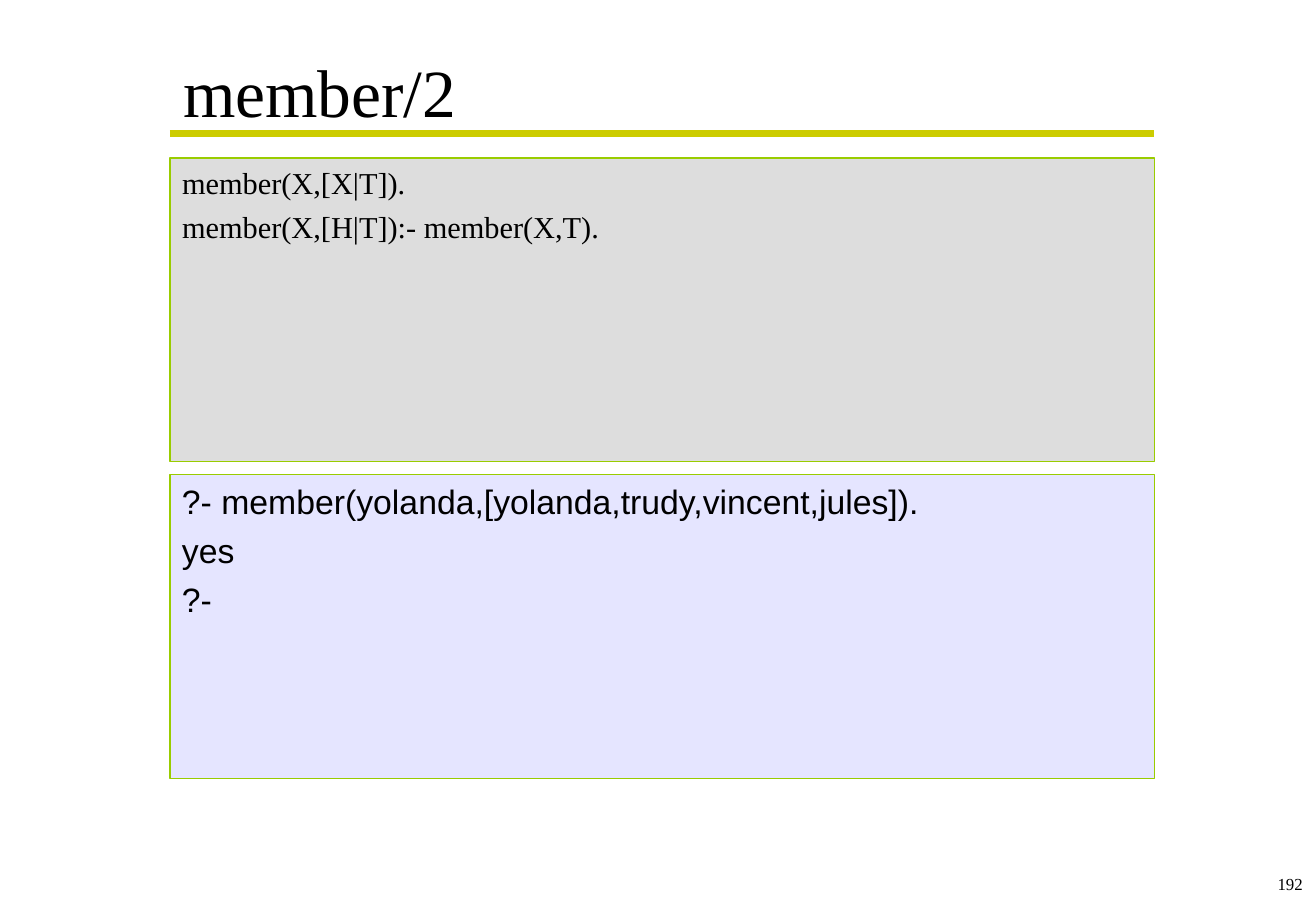
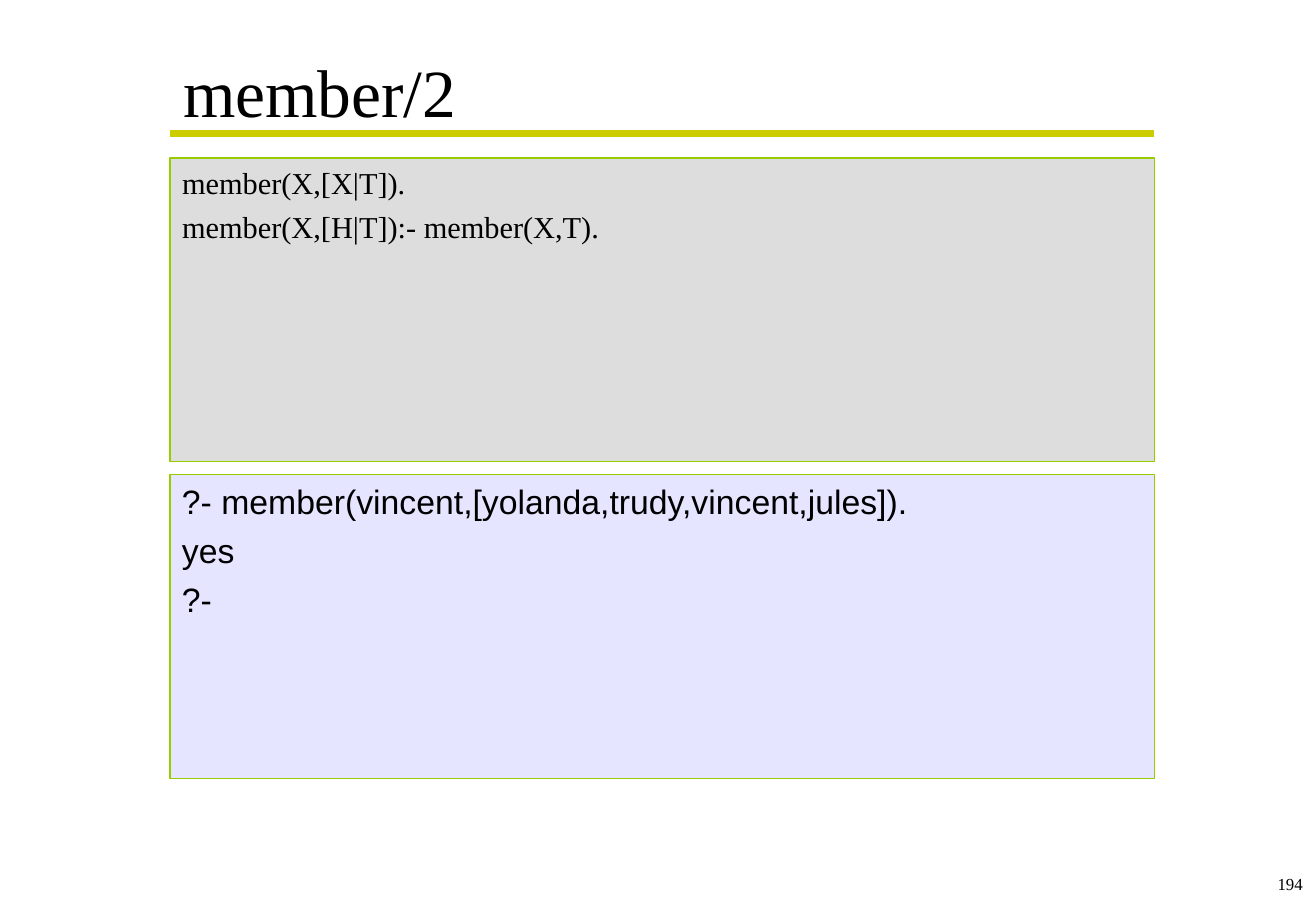
from dataclasses import dataclass

from lxml import etree
from pptx import Presentation
from pptx.dml.color import RGBColor
from pptx.enum.shapes import MSO_CONNECTOR, MSO_SHAPE
from pptx.enum.text import MSO_ANCHOR, MSO_AUTO_SIZE, PP_ALIGN
from pptx.oxml.ns import qn
from pptx.util import Inches, Pt

STRAIGHT = MSO_CONNECTOR.STRAIGHT
RECTANGLE = MSO_SHAPE.RECTANGLE
TOP, MIDDLE = MSO_ANCHOR.TOP, MSO_ANCHOR.MIDDLE
LEFT, RIGHT = PP_ALIGN.LEFT, PP_ALIGN.RIGHT
NO_AUTOFIT = MSO_AUTO_SIZE.NONE

SERIF, SANS = "Times New Roman", "Arial"
BLACK, RULE_COLOR, BORDER_COLOR = "000000", "CCCC00", "99CC00"
PANEL_LEFT, PANEL_WIDTH, PANEL_HEIGHT = 1.4, 8.11, 2.5
RULE_TOP = 1.1
HANGING_INDENT = 0.38


@dataclass(frozen=True)
class TextStyle:
    font: str
    size: float
    space_before: float = 0
    alignment: PP_ALIGN = LEFT
    anchor: MSO_ANCHOR = TOP
    hanging: bool = False


@dataclass(frozen=True)
class Panel:
    top: float
    fill: str
    style: TextStyle
    opacity: int = 100


@dataclass(frozen=True)
class QuerySlide:
    query: str
    number: str


TITLE_STYLE = TextStyle(SERIF, 40, anchor=MIDDLE)
NUMBER_STYLE = TextStyle(SERIF, 10, alignment=RIGHT)
PROGRAM_PANEL = Panel(1.3, "DDDDDD", TextStyle(SERIF, 18, 4.5, hanging=True))
QUERY_PANEL = Panel(3.91, "CCCCFF", TextStyle(SANS, 20, 5, hanging=True), 50)

TITLE = "member/2"
PROGRAM = ["member(X,[X|T]).", "member(X,[H|T]):- member(X,T)."]
SLIDES = [
    QuerySlide("?- member(yolanda,[yolanda,trudy,vincent,jules]).", "192"),
    QuerySlide("?- member(vincent,[yolanda,trudy,vincent,jules]).", "194"),
]


def color(value: str) -> RGBColor:
    return RGBColor.from_string(value)


def place(shape, left: float, top: float, width: float, height: float) -> None:
    shape.left, shape.top = Inches(left), Inches(top)
    shape.width, shape.height = Inches(width), Inches(height)


def write(shape, lines: list[str], style: TextStyle) -> None:
    frame = shape.text_frame
    frame.text = "\n".join(lines)
    frame.word_wrap = True
    frame.auto_size = NO_AUTOFIT
    frame.vertical_anchor = style.anchor
    for index, paragraph in enumerate(frame.paragraphs):
        paragraph.alignment = style.alignment
        paragraph.space_before = Pt(style.space_before if index else 0)
        if style.hanging:
            properties = paragraph._p.get_or_add_pPr()
            properties.set("marL", str(Inches(HANGING_INDENT)))
            properties.set("indent", str(-Inches(HANGING_INDENT)))
            etree.SubElement(properties, qn("a:buNone"))
        paragraph.font.name = style.font
        paragraph.font.size = Pt(style.size)
        paragraph.font.color.rgb = color(BLACK)


def draw_panel(shape, panel: Panel, lines: list[str]) -> None:
    place(shape, PANEL_LEFT, panel.top, PANEL_WIDTH, PANEL_HEIGHT)
    shape.fill.solid()
    shape.fill.fore_color.rgb = color(panel.fill)
    if panel.opacity < 100:
        fill = shape._element.spPr.find(qn("a:solidFill"))
        alpha = etree.SubElement(fill[0], qn("a:alpha"))
        alpha.set("val", str(panel.opacity * 1000))
    shape.line.color.rgb = color(BORDER_COLOR)
    shape.line.width = Pt(0.75)
    write(shape, lines, panel.style)


def draw_rule(slide) -> None:
    rule = slide.shapes.add_connector(
        STRAIGHT, Inches(PANEL_LEFT), Inches(RULE_TOP),
        Inches(PANEL_LEFT + PANEL_WIDTH), Inches(RULE_TOP))
    rule.line.color.rgb = color(RULE_COLOR)
    rule.line.width = Pt(4.5)
    etree.SubElement(rule._element.spPr, qn("a:effectLst"))


def draw_slide(presentation, content: QuerySlide) -> None:
    slide = presentation.slides.add_slide(presentation.slide_layouts[1])
    draw_rule(slide)

    title = slide.shapes.title
    place(title, 1.41, 0.28, 8.1, 0.93)
    write(title, [TITLE], TITLE_STYLE)

    draw_panel(slide.placeholders[1], PROGRAM_PANEL, PROGRAM)

    query = slide.shapes.add_shape(RECTANGLE, 0, 0, 0, 0)
    query.shadow.inherit = False
    draw_panel(query, QUERY_PANEL, [content.query, "yes", "?-"])

    number = slide.shapes.add_textbox(0, 0, 0, 0)
    place(number, 9.03, 7.14, 1.8, 0.36)
    write(number, [content.number], NUMBER_STYLE)


def main() -> None:
    presentation = Presentation()
    presentation.slide_width = Inches(10.84)
    presentation.slide_height = Inches(7.5)
    for content in SLIDES:
        draw_slide(presentation, content)
    presentation.save("out.pptx")


if __name__ == "__main__":
    main()
